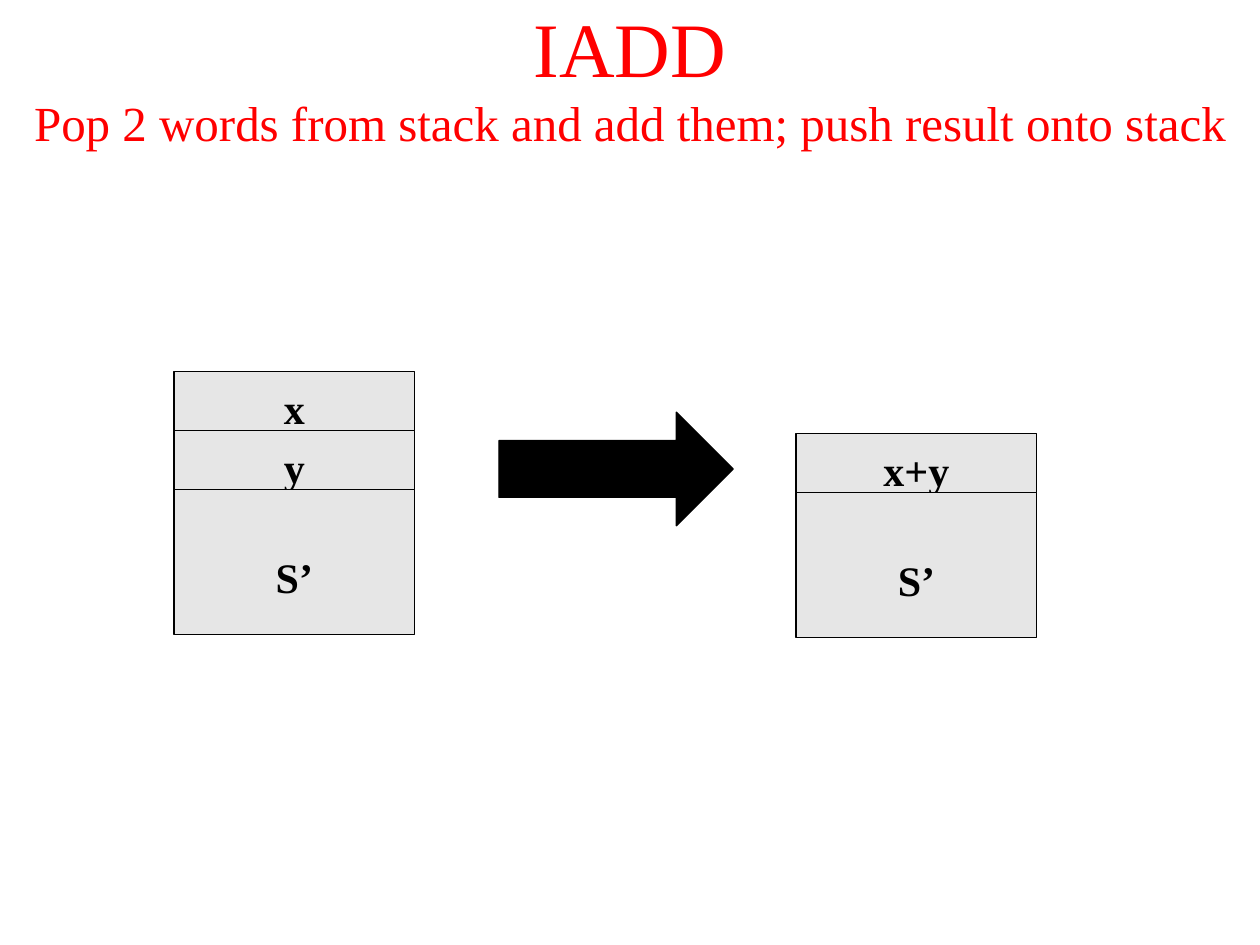
"""Build a slide showing the stack before and after the IADD instruction."""
from dataclasses import dataclass

from pptx import Presentation
from pptx.dml.color import RGBColor
from pptx.enum.shapes import MSO_SHAPE
from pptx.enum.text import MSO_ANCHOR, MSO_AUTO_SIZE, PP_ALIGN
from pptx.shapes.autoshape import Shape
from pptx.slide import Slide
from pptx.util import Cm, Pt

RED = RGBColor(0xFF, 0x00, 0x00)
BLACK = RGBColor(0x00, 0x00, 0x00)
GREY = RGBColor(0xE6, 0xE6, 0xE6)

FONT = "Times New Roman"
CELL_WIDTH = Cm(4.85)
WORD_HEIGHT, WORD_INSET = Cm(1.19), Cm(0.22)
REST_HEIGHT, REST_INSET = Cm(2.92), Cm(1.24)
REST = "S’"

TITLE_FORMAT = {"name": FONT, "bold": False}
CELL_FORMAT = {"name": FONT, "size": Pt(24), "bold": True}
TITLE_FRAME = {
    "word_wrap": True,
    "auto_size": MSO_AUTO_SIZE.NONE,
    "vertical_anchor": MSO_ANCHOR.MIDDLE,
    "margin_top": 0,
    "margin_bottom": Cm(1.63),
}
CELL_FRAME = {
    "word_wrap": True,
    "vertical_anchor": MSO_ANCHOR.TOP,
    "margin_bottom": 0,
}


@dataclass(frozen=True)
class Stack:
    left: int
    top: int
    words: tuple[str, ...]


STACKS = (
    Stack(Cm(3.51), Cm(7.49), ("x", "y")),
    Stack(Cm(16.05), Cm(8.74), ("x+y",)),
)


def apply_format(target: object, values: dict) -> None:
    """Set each named attribute of the target."""
    for attribute, value in values.items():
        setattr(target, attribute, value)


def add_outlined(slide: Slide, kind: MSO_SHAPE, left: int, top: int,
                 width: int, height: int, fill: RGBColor) -> Shape:
    """Add a filled preset shape with a thin black outline."""
    outlined = slide.shapes.add_shape(kind, left, top, width, height)
    outlined.shadow.inherit = False
    outlined.fill.solid()
    outlined.fill.fore_color.rgb = fill
    outlined.line.color.rgb = BLACK
    outlined.line.width = Pt(0.75)
    return outlined


def add_cell(slide: Slide, left: int, top: int, height: int,
             inset: int, label: str) -> None:
    """Add one labelled stack cell."""
    cell = add_outlined(slide, MSO_SHAPE.RECTANGLE, left, top,
                        CELL_WIDTH, height, GREY)
    frame = cell.text_frame
    apply_format(frame, CELL_FRAME | {"margin_top": inset})
    paragraph = frame.paragraphs[0]
    paragraph.alignment = PP_ALIGN.CENTER
    run = paragraph.add_run()
    run.text = label
    apply_format(run.font, CELL_FORMAT)
    run.font.color.rgb = BLACK


def add_stack(slide: Slide, stack: Stack) -> None:
    """Add the top words of a stack and the rest below them."""
    for row, word in enumerate(stack.words):
        add_cell(slide, stack.left, stack.top + row * WORD_HEIGHT,
                 WORD_HEIGHT, WORD_INSET, word)
    add_cell(slide, stack.left, stack.top + len(stack.words) * WORD_HEIGHT,
             REST_HEIGHT, REST_INSET, REST)


def fill_title(slide: Slide, instruction: str, effect: str) -> None:
    """Write the instruction name and its effect in the title."""
    title = slide.shapes.title
    apply_format(title, {"left": 0, "top": Cm(0.76),
                         "width": Cm(25.4), "height": Cm(3.18)})
    apply_format(title.text_frame, TITLE_FRAME)
    paragraph = title.text_frame.paragraphs[0]
    paragraph.alignment = PP_ALIGN.CENTER
    for line, size in ((instruction, Pt(44)), (effect, Pt(28))):
        if paragraph.runs:
            paragraph.add_line_break()
        run = paragraph.add_run()
        run.text = line
        apply_format(run.font, TITLE_FORMAT | {"size": size})
        run.font.color.rgb = RED


def main() -> None:
    """Create and save the presentation."""
    presentation = Presentation()
    presentation.slide_width, presentation.slide_height = Cm(25.4), Cm(19.05)
    slide = presentation.slides.add_slide(
        presentation.slide_layouts.get_by_name("Title Only"))
    fill_title(slide, "IADD",
               "Pop 2 words from stack and add them; push result onto stack")
    before, after = STACKS
    add_stack(slide, before)
    add_outlined(slide, MSO_SHAPE.RIGHT_ARROW, Cm(10.06), Cm(8.31),
                 Cm(4.72), Cm(2.29), BLACK)
    add_stack(slide, after)
    presentation.save("out.pptx")


if __name__ == "__main__":
    main()
